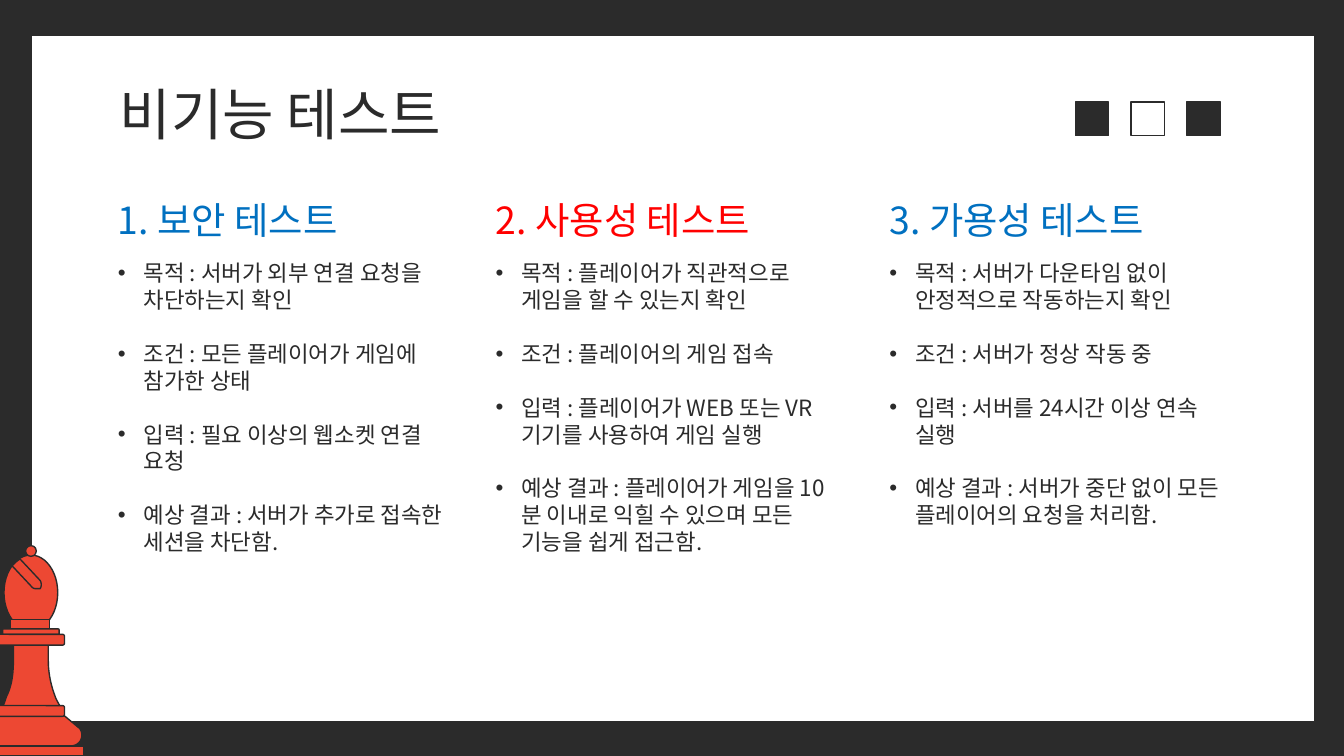
"""Build the non-functional test slide: three test columns beside a chess bishop."""
from lxml.etree import SubElement
from pptx import Presentation
from pptx.dml.color import RGBColor
from pptx.enum.shapes import MSO_SHAPE as SHAPE
from pptx.enum.text import MSO_ANCHOR as ANCHOR, MSO_AUTO_SIZE as AUTO, PP_ALIGN as ALIGN
from pptx.oxml.ns import qn
from pptx.util import Inches, Pt

W = 10
H = W * 9 / 16
FONT = "Noto Sans CJK KR"
LEADING = 1.2
COLORS = {"dark": "2B2B2B", "white": "FFFFFF", "red": "ED4833",
          "blue_head": "0070C0", "red_head": "FF0000"}

TITLE = "비기능 테스트"
COLUMNS = [
    (0.78, 2.7, "1. 보안 테스트", "blue_head", [
        "목적 : 서버가 외부 연결 요청을 차단하는지 확인",
        "조건 : 모든 플레이어가 게임에 참가한 상태",
        "입력 : 필요 이상의 웹소켓 연결 요청",
        "예상 결과 : 서버가 추가로 접속한 세션을 차단함."]),
    (3.59, 2.82, "2. 사용성 테스트", "red_head", [
        "목적 : 플레이어가 직관적으로 게임을 할 수 있는지 확인",
        "조건 : 플레이어의 게임 접속",
        "입력 : 플레이어가 WEB 또는 VR 기기를 사용하여 게임 실행",
        "예상 결과 : 플레이어가 게임을 10분 이내로 익힐 수 있으며 모든 기능을 쉽게 접근함."]),
    (6.52, 2.7, "3. 가용성 테스트", "blue_head", [
        "목적 : 서버가 다운타임 없이 안정적으로 작동하는지 확인",
        "조건 : 서버가 정상 작동 중",
        "입력 : 서버를 24시간 이상 연속 실행",
        "예상 결과 : 서버가 중단 없이 모든 플레이어의 요청을 처리함."]),
]

STEM = [(0.1, 4.78), (0.1, 4.92), (0.1, 5.01, 0.09, 5.1, 0.05, 5.18),
        (0.04, 5.21, 0.03, 5.24, 0.02, 5.26), (0.45, 5.26),
        (0.44, 5.24, 0.42, 5.21, 0.41, 5.18),
        (0.38, 5.1, 0.36, 5.01, 0.36, 4.92), (0.36, 4.78)]
SLIT = [(0.15, 4.16), (0.13, 4.17, 0.11, 4.19, 0.09, 4.21), (0.24, 4.37),
        (0.25, 4.38, 0.26, 4.38, 0.27, 4.38), (0.28, 4.38, 0.29, 4.38, 0.3, 4.38),
        (0.31, 4.36, 0.31, 4.34, 0.3, 4.32)]
FOOT = [(0.01, 5.31), (-0.12, 5.41), (-0.14, 5.42, -0.15, 5.45, -0.15, 5.47),
        (-0.15, 5.51, -0.11, 5.55, -0.07, 5.55), (0.53, 5.55),
        (0.58, 5.55, 0.61, 5.51, 0.61, 5.47),
        (0.61, 5.45, 0.6, 5.42, 0.58, 5.41), (0.46, 5.31)]
BISHOP = [
    STEM,
    (SHAPE.OVAL, 0.03, 4.13, 0.4, 0.56),
    SLIT,
    (SHAPE.RECTANGLE, 0.08, 4.61, 0.29, 0.08),
    (SHAPE.ROUND_2_SAME_RECTANGLE, 0.02, 4.68, 0.42, 0.04),
    (SHAPE.ROUNDED_RECTANGLE, -0.03, 4.72, 0.51, 0.08),
    (SHAPE.RECTANGLE, -0.17, 5.55, 0.79, 0.07),
    FOOT,
    (SHAPE.ROUNDED_RECTANGLE, -0.03, 5.25, 0.51, 0.08),
    (SHAPE.OVAL, 0.19, 4.06, 0.08, 0.08),
]


def rgb(name):
    return RGBColor.from_string(COLORS[name])


def paint(sp, fill):
    sp.shadow.inherit = False
    sp.fill.solid()
    sp.fill.fore_color.rgb = rgb(fill)
    sp.line.color.rgb = rgb("dark")
    sp.line.width = Pt(0.75)


def add_preset(s, kind, x, y, w, h, fill):
    paint(s.shapes.add_shape(kind, Inches(x), Inches(y), Inches(w), Inches(h)), fill)


def flatten(path, steps=10):
    points = [path[0]]
    for part in path[1:]:
        if len(part) == 2:
            points.append(part)
            continue
        ends = [points[-1], part[:2], part[2:4], part[4:]]
        for t in (i / steps for i in range(1, steps + 1)):
            weights = ((1 - t) ** 3, 3 * t * (1 - t) ** 2, 3 * t * t * (1 - t), t ** 3)
            points.append(tuple(sum(k * e[axis] for k, e in zip(weights, ends))
                                for axis in (0, 1)))
    return points


def add_outline(s, path, fill):
    points = [(Inches(x), Inches(y)) for x, y in flatten(path)]
    builder = s.shapes.build_freeform(*points[0])
    builder.add_line_segments(points[1:], close=True)
    paint(builder.convert_to_shape(), fill)


def write(sp, lines, size, color, anchor=ANCHOR.TOP, bullets=False):
    tf = sp.text_frame
    tf.word_wrap, tf.auto_size, tf.vertical_anchor = True, AUTO.NONE, anchor
    tf.margin_left = tf.margin_top = tf.margin_bottom = Inches(0.1)
    tf.margin_right = Inches(0.13)
    for i, line in enumerate(lines):
        p = tf.add_paragraph() if i else tf.paragraphs[0]
        p.alignment = ALIGN.LEFT
        p.line_spacing = Pt(size * LEADING)
        p.space_before = Pt(size * LEADING if i else 0)
        if bullets:
            pPr = p._p.get_or_add_pPr()
            pPr.set("marL", str(Inches(0.19)))
            pPr.set("indent", str(-Inches(0.19)))
            SubElement(pPr, qn("a:buFont"), typeface="Arial")
            SubElement(pPr, qn("a:buChar"), char="•")
        r = p.add_run()
        r.text = line
        r.font.name, r.font.size, r.font.color.rgb = FONT, Pt(size), rgb(color)
        SubElement(r._r.get_or_add_rPr(), qn("a:ea"), typeface=FONT)


def add_text(s, x, y, w, h, *args, **kwargs):
    write(s.shapes.add_textbox(Inches(x), Inches(y), Inches(w), Inches(h)), *args, **kwargs)


def main():
    prs = Presentation()
    prs.slide_width, prs.slide_height = Inches(W), Inches(H)
    s = prs.slides.add_slide(prs.slide_layouts[5])
    s.background.fill.solid()
    s.background.fill.fore_color.rgb = rgb("dark")

    add_preset(s, SHAPE.RECTANGLE, 0.23, 0.26, 9.55, 5.11, "white")
    for part in BISHOP:
        if isinstance(part, list):
            add_outline(s, part, "red")
        else:
            add_preset(s, *part, "red")

    title = s.shapes.title
    title.left, title.top, title.width, title.height = map(Inches, (0.79, 0.49, 8.43, 0.63))
    write(title, [TITLE], 30, "dark")
    s.shapes._spTree.append(title._element)

    for x, w, heading, color, items in COLUMNS:
        add_text(s, x, 1.38, w, 0.52, [heading], 20, color, anchor=ANCHOR.BOTTOM)
        add_text(s, x, 1.83, w, 3.31, items, 12, "dark", bullets=True)

    for i, fill in enumerate(("dark", "white", "dark")):
        add_preset(s, SHAPE.RECTANGLE, 8 + i * 0.415, 0.76, 0.25, 0.25, fill)

    prs.save("out.pptx")


if __name__ == "__main__":
    main()
